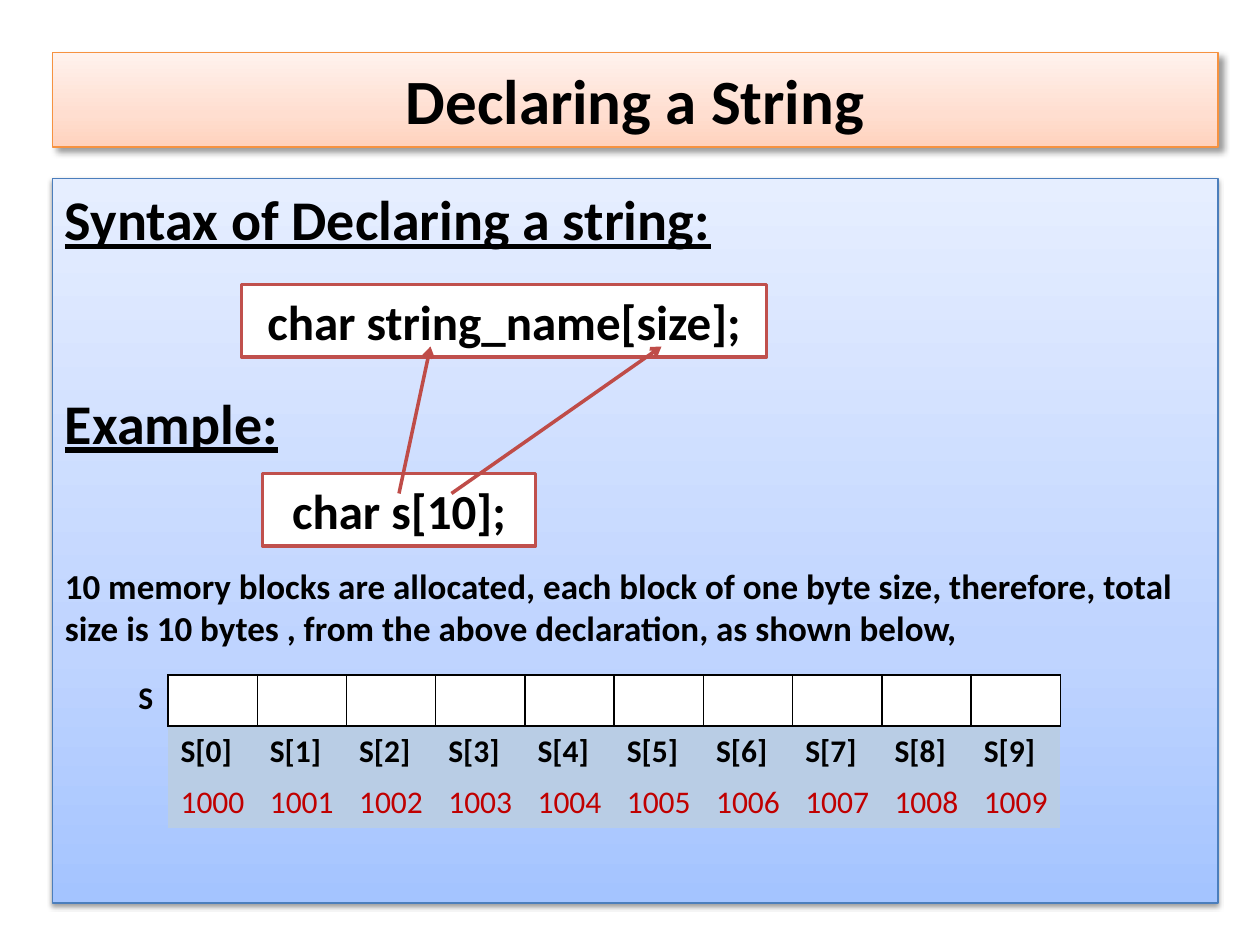
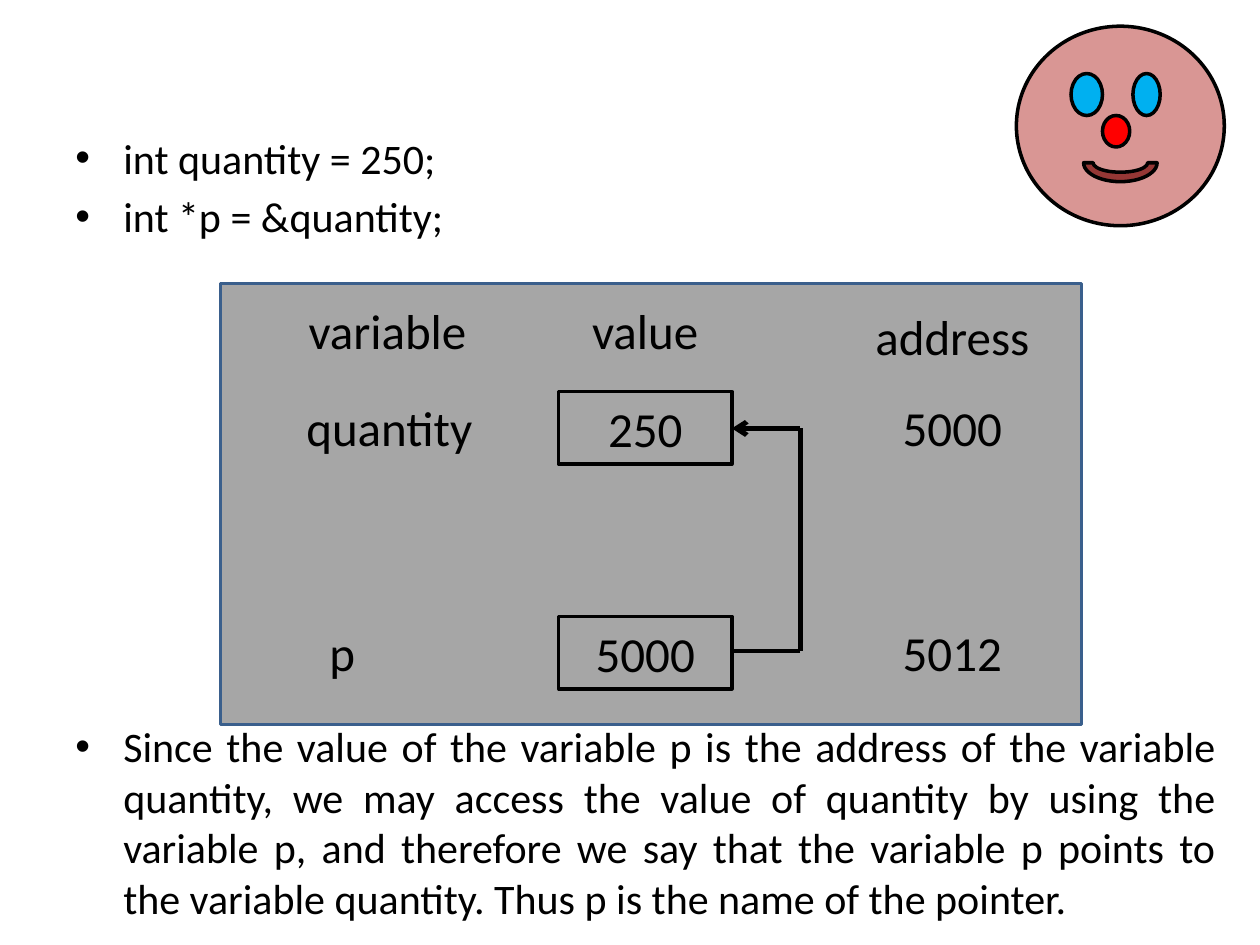
import pptx
import pptx.util
import pptx.dml.color
import pptx.enum.shapes
import pptx.enum.text
import pptx.oxml
import pptx.oxml.ns

COLUMNS, ROWS = 120, 90
UNIT = pptx.util.Inches(10) / COLUMNS
FONT = "Calibri"
BLACK, WHITE, RED = "000000", "FFFFFF", "C0504D"
PEACH = ("FFD2BD", "FFDED0", "FFF2ED")
SKY = ("A4C4FF", "BFD4FF", "E6EEFF")
PLAIN_TABLE = "{2D5ABB26-0587-4C30-8999-92F81FD0307C}"
LABEL_HEIGHT = 6.9
SHAPES = pptx.enum.shapes.MSO_SHAPE
ALIGN = pptx.enum.text.PP_ALIGN
ANCHOR = pptx.enum.text.MSO_ANCHOR


def color(value):
    return pptx.dml.color.RGBColor.from_string(value)


def grid(*lengths):
    return [pptx.util.Emu(round(length * UNIT)) for length in lengths]


def element(tag, attributes="", inner=""):
    names = pptx.oxml.ns.nsdecls("a")
    return pptx.oxml.parse_xml(f"<a:{tag} {names} {attributes}>{inner}</a:{tag}>")


def style(para, size, tint=BLACK, bold=False, underline=False, align=None):
    para.alignment = align
    for span in para.runs:
        font = span.font
        font.name, font.size = FONT, pptx.util.Pt(size)
        font.bold, font.underline = bold, underline
        font.color.rgb = color(tint)


def write(frame, text, size, **look):
    frame.text = text
    style(frame.paragraphs[0], size, **look)


def add_box(page, place, fill=None, line=BLACK, width=2, kind=SHAPES.RECTANGLE):
    box = page.shapes.add_shape(kind, *grid(*place))
    box.shadow.inherit = False
    if fill:
        box.fill.solid()
        box.fill.fore_color.rgb = color(fill)
    else:
        box.fill.background()
    box.line.color.rgb = color(line)
    box.line.width = pptx.util.Pt(width)
    box.text_frame.word_wrap = True
    return box


def add_panel(page, place, shades, line, shadow):
    box = add_box(page, place, line=line, width=0.75)
    box.fill.gradient()
    box.fill.gradient_angle = 90
    stops = box._element.spPr.find(".//" + pptx.oxml.ns.qn("a:gsLst"))
    for stop in list(stops):
        stops.remove(stop)
    for position, shade in zip((0, 35, 100), shades):
        stops.append(element("gs", f'pos="{position * 1000}"', f'<a:srgbClr val="{shade}"/>'))
    opacity, blur, distance, angle = shadow
    attributes = (f'blurRad="{pptx.util.Pt(blur)}" dist="{pptx.util.Pt(distance)}" '
                  f'dir="{angle * 60000}" rotWithShape="0"')
    effects = box._element.spPr.find(pptx.oxml.ns.qn("a:effectLst"))
    effects.append(element("outerShdw", attributes,
                           f'<a:srgbClr val="{BLACK}"><a:alpha val="{opacity * 1000}"/></a:srgbClr>'))
    return box


def add_label(page, place, text, size=28, bold=False):
    box = page.shapes.add_textbox(*grid(*place))
    write(box.text_frame, text, size, bold=bold)
    box.text_frame.word_wrap = False


def add_line(page, start, end, tint, width, arrow=False):
    line = page.shapes.add_connector(
        pptx.enum.shapes.MSO_CONNECTOR.STRAIGHT, *grid(*start, *end))
    line.line.color.rgb = color(tint)
    line.line.width = pptx.util.Pt(width)
    if arrow:
        line.line._get_or_add_ln().append(element("tailEnd", 'type="arrow"'))
    line._element.spPr.append(element("effectLst"))


def add_paragraphs(frame, entries):
    frame.word_wrap = True
    frame.vertical_anchor = ANCHOR.TOP
    frame.text = "\n".join(text for text, gap, look in entries)
    for para, (text, gap, look) in zip(frame.paragraphs, entries):
        para.space_before = pptx.util.Pt(gap)
        style(para, **look)


def add_bullet(para):
    properties = para._p.get_or_add_pPr()
    indent = pptx.util.Inches(0.38)
    properties.set("marL", str(indent))
    properties.set("indent", str(-indent))
    properties.append(element("buFont", 'typeface="Arial"'))
    properties.append(element("buChar", 'char="•"'))


def add_cell_border(cell):
    properties = cell._tc.get_or_add_tcPr()
    for side in "LRTB":
        properties.append(element(f"ln{side}", f'w="{pptx.util.Pt(1)}"',
                                  f'<a:solidFill><a:srgbClr val="{BLACK}"/></a:solidFill>'))


def add_memory_table(page, place, count):
    table = page.shapes.add_table(3, count, *grid(*place)).table
    table._tbl.tblPr.find(pptx.oxml.ns.qn("a:tableStyleId")).text = PLAIN_TABLE
    for index in range(count):
        block, name, address = (table.cell(row, index) for row in range(3))
        add_cell_border(block)
        write(name.text_frame, f"S[{index}]", 18, bold=True)
        write(address.text_frame, str(1000 + index), 18, tint="C00000")
        for cell, fill in ((block, WHITE), (name, "B9CDE5"), (address, "B9CDE5")):
            cell.fill.solid()
            cell.fill.fore_color.rgb = color(fill)


def add_face(page):
    parts = [
        ((96.8, 2.5, 19.8, 19), "D99694", SHAPES.OVAL),
        ((102, 7, 3, 4), "00B0F0", SHAPES.OVAL),
        ((107.9, 7, 2.6, 4), "00B0F0", SHAPES.OVAL),
        ((105, 11, 2.6, 3), "FF0000", SHAPES.OVAL),
        ((103.2, 13.7, 7, 3.6), "953735", SHAPES.BLOCK_ARC),
    ]
    for place, fill, kind in parts:
        part = add_box(page, place, fill, kind=kind)
    part.rotation = 180


def build_string_page(page):
    title = add_panel(page, (5, 5, 111, 9), PEACH, "F69240", (40, 4, 3, 45))
    write(title.text_frame, "Declaring a String", 36, bold=True, align=ALIGN.CENTER)
    body = add_panel(page, (5, 17, 111, 69), SKY, "4B7EBC", (38, 3.1, 1.6, 90))
    heading = dict(size=32, bold=True, underline=True, align=ALIGN.LEFT)
    add_paragraphs(body.text_frame, [
        ("Syntax of Declaring a string:", 0, heading),
        ("Example:", 78, heading),
        ("10 memory blocks are allocated, each block of one byte size, therefore, total "
         "size is 10 bytes , from the above declaration, as shown below,", 62,
         dict(size=20, bold=True, align=ALIGN.LEFT)),
    ])
    add_memory_table(page, (16, 64.3, 85, 14.6), 10)
    for place, code in (((23, 27.1, 50, LABEL_HEIGHT), "char string_name[size];"),
                        ((25, 45.1, 26, LABEL_HEIGHT), "char s[10];")):
        box = add_box(page, place, WHITE, RED)
        write(box.text_frame, code, 28, bold=True, align=ALIGN.CENTER)
    for start, end in (((38, 47), (41, 33)), ((43, 47), (63, 33))):
        add_line(page, start, end, "BF4C48", 2, arrow=True)
    add_label(page, (12, 64, 4, 4.8), "S", 18, bold=True)


def build_pointer_page(page):
    add_box(page, (21, 27, 82, 42), "A6A6A6", "3A5F8C")
    body = page.shapes.add_textbox(*grid(6, 12, 111, 77))
    add_paragraphs(body.text_frame, [
        ("int quantity = 250;", 0, dict(size=24)),
        ("int *p = &quantity;", 4.8, dict(size=24)),
        ("Since the value of the variable p is the address of the variable quantity, we may "
         "access the value of quantity by using the variable p, and therefore we say that the "
         "variable p points to the variable quantity. Thus p is the name of the pointer.",
         274, dict(size=24, align=ALIGN.JUSTIFY)),
    ])
    for para in body.text_frame.paragraphs:
        add_bullet(para)

    for left, top, width, text in ((28.2, 28, 17.6, "variable"), (55.2, 28, 12.6, "value"),
                                   (82.2, 28.6, 17.3, "address")):
        add_label(page, (left, top, width, LABEL_HEIGHT), text)

    value_left, value_width, bend = 53.2, 16.5, 76.2
    value_right = value_left + value_width
    variables = ((37.3, 28, 18.5, "quantity", "250", "5000"),
                 (58.7, 30.2, 4.9, "p", "5000", "5012"))
    for top, left, width, name, value, address in variables:
        add_label(page, (left, top, width, LABEL_HEIGHT), name)
        box = add_box(page, (value_left, top, value_width, LABEL_HEIGHT))
        write(box.text_frame, value, 28, align=ALIGN.CENTER)
        add_label(page, (84.8, top, 12, LABEL_HEIGHT), address)

    target, source = 40.8, 62
    add_line(page, (bend, target), (value_right, target), BLACK, 2.75, arrow=True)
    add_line(page, (bend, target), (bend, source), BLACK, 2.75)
    add_line(page, (bend, source), (value_right, source), BLACK, 2.75)
    add_face(page)


def main():
    deck = pptx.Presentation()
    deck.slide_width, deck.slide_height = grid(COLUMNS, ROWS)
    for build in (build_string_page, build_pointer_page):
        build(deck.slides.add_slide(deck.slide_layouts[6]))
    deck.save("out.pptx")


if __name__ == "__main__":
    main()
